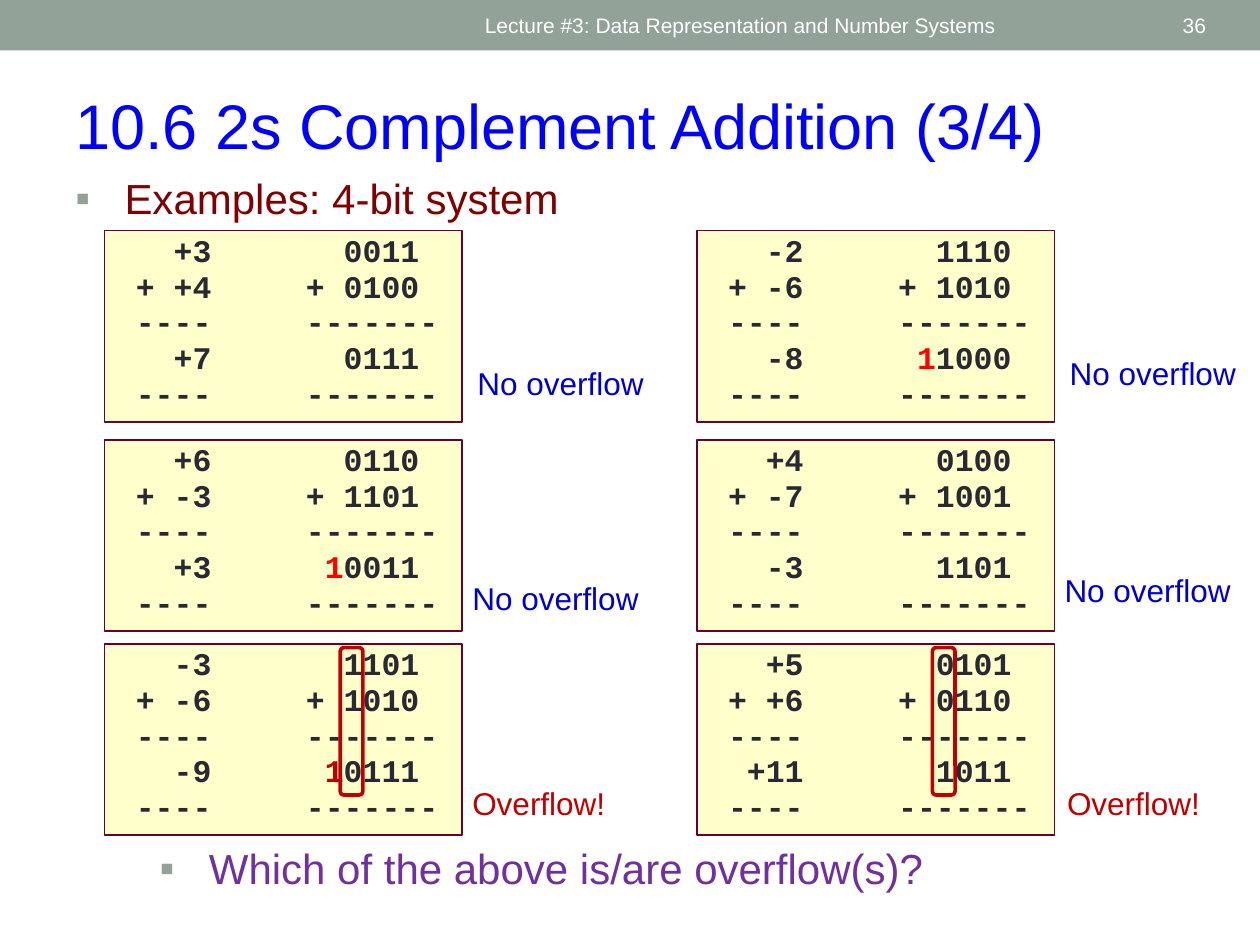
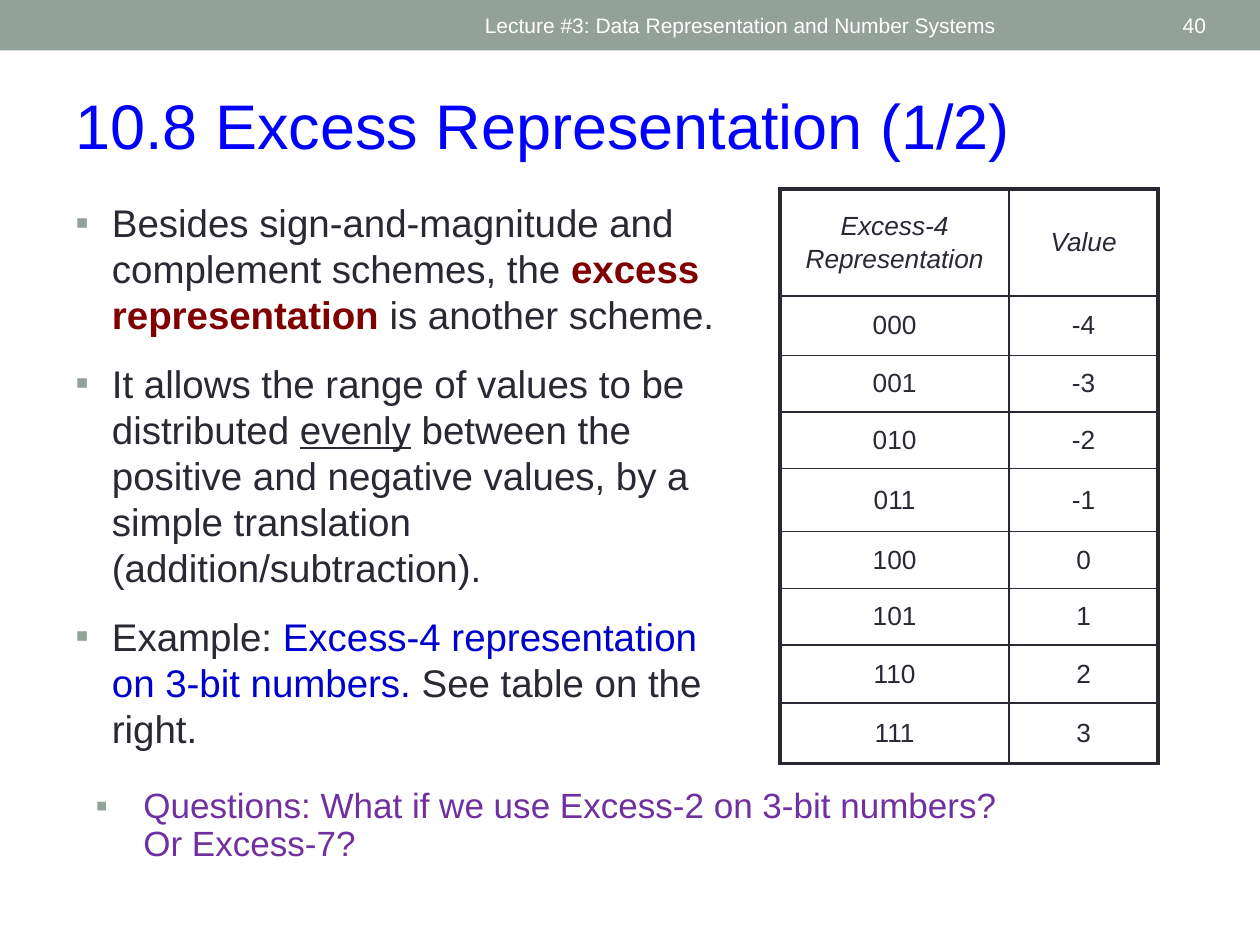
from dataclasses import dataclass
from lxml.etree import SubElement as Sub
from pptx import Presentation
from pptx.dml.color import RGBColor as RGB
from pptx.enum.shapes import MSO_SHAPE as Shape
from pptx.enum.text import MSO_ANCHOR as Anchor, PP_ALIGN as Align
from pptx.oxml.ns import qn
from pptx.util import Inches, Pt


@dataclass(frozen=True)
class Theme:
    sans: str = "Arial"
    mono: str = "Courier New"
    band: str = "93A299"
    white: str = "FFFFFF"
    ink: str = "292934"
    title: str = "0000FF"
    maroon: str = "800000"
    ask: str = "7030A0"
    blue: str = "0000CC"
    alert: str = "C00000"
    carry: str = "FF0000"
    cream: str = "FFFFCC"
    edge: str = "660033"
    head_pt: int = 36
    lead_pt: int = 24
    body_pt: int = 22
    ask_pt: int = 20
    sum_pt: int = 18
    cell_pt: int = 15
    band_pt: int = 12


T = Theme()

# Content
LECTURE = "Lecture #3: Data Representation and Number Systems"
SUMS = {
    "title": "10.6 2s Complement Addition (3/4)", "page": 36,
    "lead": "Examples: 4-bit system",
    "ask": "Which of the above is/are overflow(s)?",
}
# Per sum: decimal terms, binary terms, carry, then note place and overflow
CASES = [
    (("+3", "+4", "+7"), ("0011", "0100", "0111"), "", (3.69, 2.84), False),
    (("-2", "-6", "-8"), ("1110", "1010", "1000"), "1", (8.39, 2.76), False),
    (("+6", "-3", "+3"), ("0110", "1101", "0011"), "1", (3.65, 4.55), False),
    (("+4", "-7", "-3"), ("0100", "1001", "1101"), "", (8.35, 4.48), False),
    (("-3", "-6", "-9"), ("1101", "1010", "0111"), "1", (3.65, 6.17), True),
    (("+5", "+6", "+11"), ("0101", "0110", "1011"), "", (8.37, 6.17), True),
]
EXCESS = {
    "title": "10.8 Excess Representation (1/2)", "page": 40,
    "ask": "Questions: What if we use Excess-2 on 3-bit numbers? Or Excess-7?",
}
POINTS = [
    ["Besides sign-and-magnitude and complement schemes, the ",
     ("excess representation", {"color": T.maroon, "bold": True}),
     " is another scheme."],
    ["It allows the range of values to be distributed ",
     ("evenly", {"line": True}),
     " between the positive and negative values, by a simple translation "
     "(addition/subtraction)."],
    ["Example: ",
     ("Excess-4 representation on 3-bit numbers. ", {"color": T.blue}),
     "See table on the right."],
]
HEADS = ["Excess-4\nRepresentation", "Value"]
CODES = [(f"{n:03b}", str(n - 4)) for n in range(8)]

# Grid of the sums
LEFTS = [0.83, 5.53]
TOPS = [1.83, 3.49, 5.11]
BOX = (2.84, 1.52)
CHAR = 0.15  # width of one 18 pt mono letter

# Sizes of the table
COLS = [1.82, 1.18]
ROWS = [0.85, 0.47, 0.45, 0.45, 0.5, 0.45, 0.45, 0.46, 0.48]


# Text
def style(font, color=None, size=None, name=None, bold=None, italic=None, line=None):
    if color:
        font.color.rgb = RGB.from_string(color)
    if size:
        font.size = Pt(size)
    if name:
        font.name = name
    for key, value in (("bold", bold), ("italic", italic), ("underline", line)):
        if value is not None:
            setattr(font, key, value)


def fill_par(par, parts, size, color, name=T.sans, **more):
    style(par.font, color, size, name, **more)
    for part in parts:
        text, look = (part, {}) if isinstance(part, str) else part
        run = par.add_run()
        run.text = text
        style(run.font, **look)


def space(par, before, after=0, lines=None):
    par.space_before, par.space_after = Pt(before), Pt(after)
    if lines:
        par.line_spacing = lines


def bullet(par, hang, left=None):
    props = par._p.get_or_add_pPr()
    props.set("marL", str(Inches(left or hang)))
    props.set("indent", str(-Inches(hang)))
    Sub(Sub(props, qn("a:buClr")), qn("a:srgbClr"), val=T.band)
    Sub(props, qn("a:buFont"), typeface=T.sans)
    Sub(props, qn("a:buChar"), char="▪")


def tabs(par, stops):
    group = Sub(par._p.get_or_add_pPr(), qn("a:tabLst"))
    for stop in stops:
        Sub(group, qn("a:tab"), pos=str(Inches(stop * CHAR)), algn="r")


def text_box(slide, at):
    frame = slide.shapes.add_textbox(*map(Inches, at)).text_frame
    frame.word_wrap = True
    return frame


def label(slide, at, text, size, color, align=Align.LEFT, anchor=Anchor.TOP):
    frame = text_box(slide, at)
    frame.vertical_anchor = anchor
    par = frame.paragraphs[0]
    par.alignment = align
    fill_par(par, [text], size, color)


# Shapes
def block(slide, at, fill=None, edge=None, width=1, kind=Shape.RECTANGLE):
    shape = slide.shapes.add_shape(kind, *map(Inches, at))
    shape.shadow.inherit = False
    if fill:
        shape.fill.solid()
        shape.fill.fore_color.rgb = RGB.from_string(fill)
    else:
        shape.fill.background()
    if edge:
        shape.line.color.rgb = RGB.from_string(edge)
        shape.line.width = Pt(width)
    else:
        shape.line.fill.background()
    shape.text_frame.word_wrap = True
    shape.text_frame.vertical_anchor = Anchor.TOP
    return shape


def new_slide(deck, data):
    slide = deck.slides.add_slide(deck.slide_layouts[6])
    block(slide, (0, 0, 10, 0.4), T.band)
    label(slide, (3.75, 0.02, 4.5, 0.36), LECTURE, T.band_pt, T.white,
          anchor=Anchor.MIDDLE)
    label(slide, (8.72, 0.02, 0.95, 0.36), str(data["page"]), T.band_pt, T.white,
          Align.RIGHT, Anchor.MIDDLE)
    label(slide, (0.5, 0.64, 9, 0.71), data["title"], T.head_pt, T.title)
    return slide


# Sums slide
def add_sum(slide, left, top, tens, bits, carry, red):
    frame = block(slide, (left, top, *BOX), T.cream, T.edge).text_frame
    rule = ["\t----\t-------"]
    total = [f"\t{tens[2]}\t", (carry, {"color": red}), bits[2]]
    rows = [
        [f"\t{tens[0]}\t{bits[0]}"],
        [f"\t+ {tens[1]}\t+ {bits[1]}"],
        rule,
        total if carry else [f"\t{tens[2]}\t{bits[2]}"],
        rule,
    ]
    for i, row in enumerate(rows):
        par = frame.paragraphs[0] if i == 0 else frame.add_paragraph()
        par.alignment = Align.LEFT
        space(par, 2, lines=0.85)
        tabs(par, (5, 17 if row is rule else 16))
        fill_par(par, row, T.sum_pt, T.ink, T.mono, bold=True)


def sums_slide(deck):
    slide = new_slide(deck, SUMS)
    for at, key, color, left in (((0.5, 1.32, 9, 0.58), "lead", T.maroon, 0.39),
                                 ((1.08, 6.64, 7.17, 0.52), "ask", T.ask, 0.48)):
        par = text_box(slide, at).paragraphs[0]
        space(par, 4.8)
        bullet(par, 0.39, left)
        fill_par(par, [SUMS[key]], T.lead_pt, color)
    for i, (tens, bits, carry, spot, over) in enumerate(CASES):
        row, col = divmod(i, 2)
        left, top = LEFTS[col], TOPS[row]
        add_sum(slide, left, top, tens, bits, carry, T.alert if over else T.carry)
        label(slide, (*spot, 1.69, 0.4), "Overflow!" if over else "No overflow",
              T.sum_pt, T.alert if over else T.blue)
        if over:  # frame round the sign bits
            block(slide, (left + 1.87, top + 0.03, 0.18, 1.17), edge=T.alert,
                  width=2.08, kind=Shape.ROUNDED_RECTANGLE)


# Excess slide
def border(cell, widths):
    props = cell._tc.get_or_add_tcPr()
    for i, (side, width) in enumerate(zip("LRTB", widths)):
        line = Sub(props, qn(f"a:ln{side}"), w=str(Pt(width)))
        Sub(Sub(line, qn("a:solidFill")), qn("a:srgbClr"), val=T.ink)
        props.remove(line)
        props.insert(i, line)


def add_codes(slide):
    data = [HEADS, *CODES]
    table = slide.shapes.add_table(len(ROWS), len(COLS), Inches(6.19), Inches(1.5),
                                   Inches(sum(COLS)), Inches(sum(ROWS))).table
    table.first_row = table.horz_banding = False
    for col, width in zip(table.columns, COLS):
        col.width = Inches(width)
    for r, high in enumerate(ROWS):
        table.rows[r].height = Inches(high)
        for c, text in enumerate(data[r]):
            cell = table.cell(r, c)
            cell.fill.background()
            cell.vertical_anchor = Anchor.MIDDLE
            outer = (c == 0, c == len(COLS) - 1, r == 0, r == len(ROWS) - 1)
            border(cell, [2.25 if out else 1 for out in outer])
            for i, line in enumerate(text.split("\n")):
                frame = cell.text_frame
                par = frame.paragraphs[0] if i == 0 else frame.add_paragraph()
                par.alignment = Align.CENTER
                space(par, 2)
                fill_par(par, [line], T.cell_pt, T.ink, italic=r == 0)


def excess_slide(deck):
    slide = new_slide(deck, EXCESS)
    frame = text_box(slide, (0.5, 1.53, 5.39, 4.53))
    for i, parts in enumerate(POINTS):
        par = frame.paragraphs[0] if i == 0 else frame.add_paragraph()
        space(par, 6, 6.6)
        bullet(par, 0.29)
        fill_par(par, parts, T.body_pt, T.ink)
    add_codes(slide)
    ask = block(slide, (0.66, 6.21, 7.59, 0.81), T.white).text_frame.paragraphs[0]
    ask.alignment = Align.LEFT
    space(ask, 4, 6, 0.9)
    bullet(ask, 0.38)
    fill_par(ask, [EXCESS["ask"]], T.ask_pt, T.ask)


def main():
    deck = Presentation()
    deck.slide_width, deck.slide_height = Inches(10), Inches(7.5)
    sums_slide(deck)
    excess_slide(deck)
    deck.save("out.pptx")


if __name__ == "__main__":
    main()
